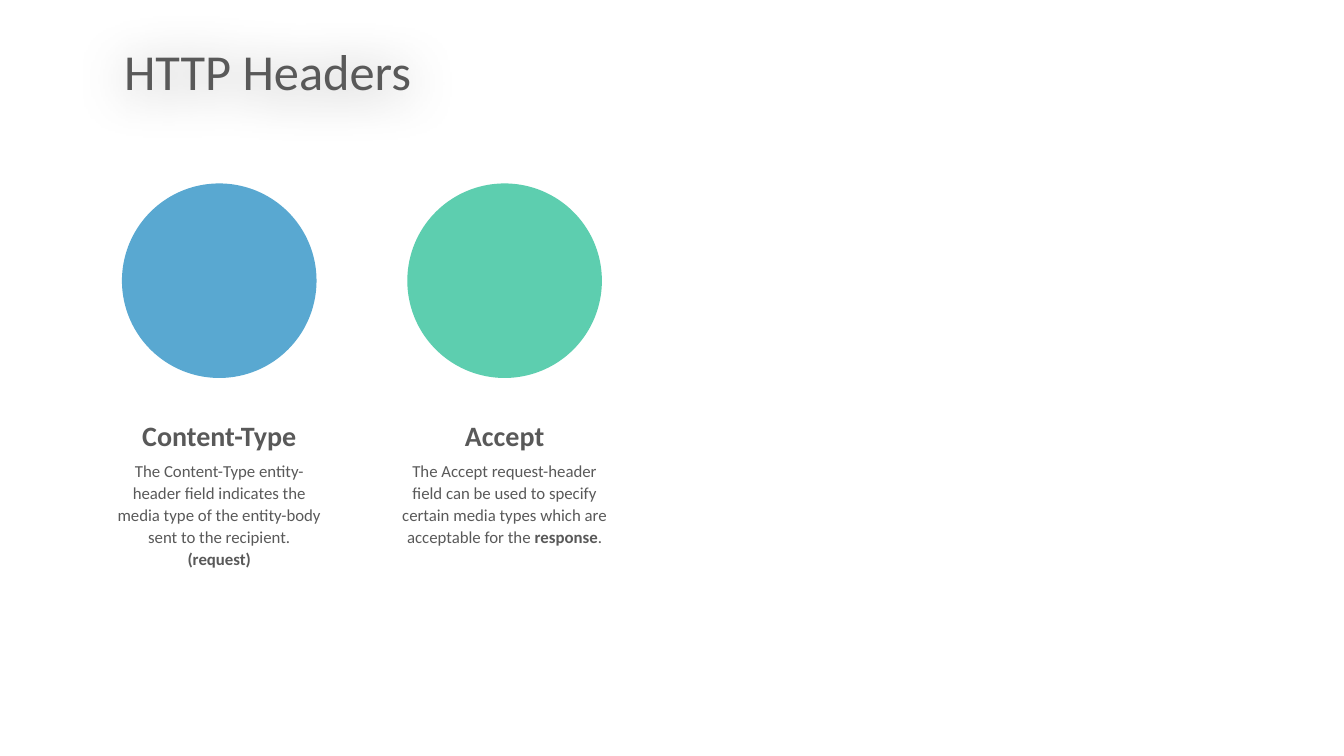
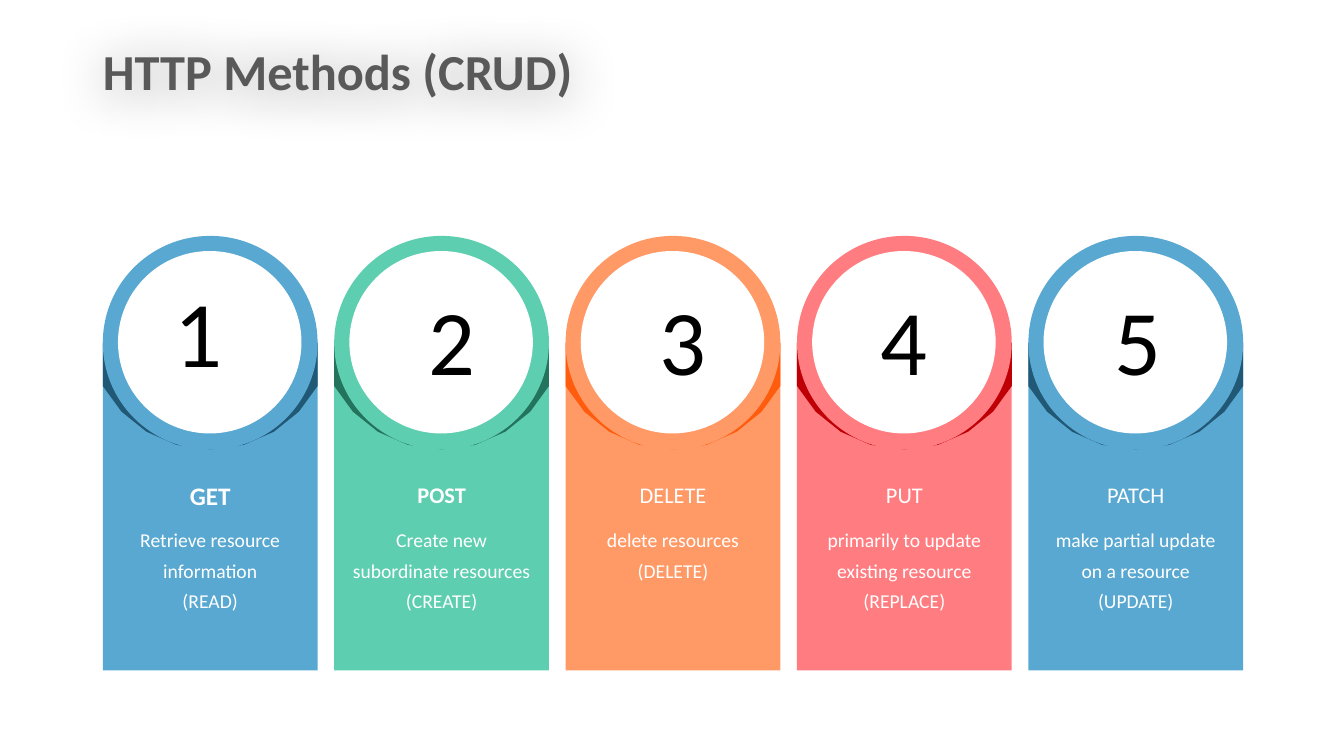
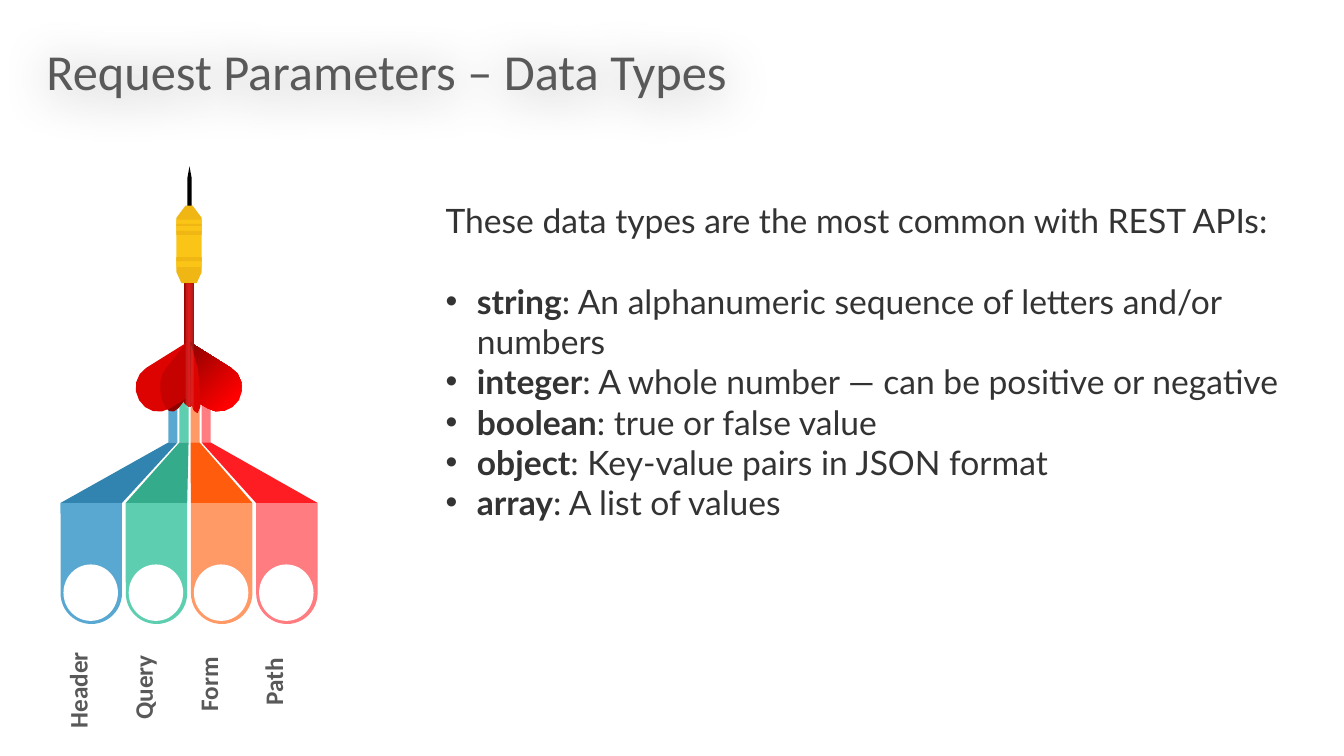
from copy import deepcopy

from lxml import etree
from pptx import Presentation
from pptx.dml.color import RGBColor
from pptx.enum.shapes import MSO_SHAPE
from pptx.enum.text import MSO_ANCHOR, MSO_AUTO_SIZE, PP_ALIGN
from pptx.oxml import parse_xml
from pptx.oxml.ns import nsdecls, qn
from pptx.util import Inches, Pt

OVAL, RECT = MSO_SHAPE.OVAL, MSO_SHAPE.RECTANGLE
ROUND_END = MSO_SHAPE.ROUND_2_SAME_RECTANGLE
LEFT, CENTER, RIGHT = PP_ALIGN.LEFT, PP_ALIGN.CENTER, PP_ALIGN.RIGHT
TOP, NO_FIT = MSO_ANCHOR.TOP, MSO_AUTO_SIZE.NONE

BLUE = RGBColor(0x59, 0xA8, 0xD1)
GREEN = RGBColor(0x5D, 0xCE, 0xAF)
ORANGE = RGBColor(0xFF, 0x99, 0x66)
PINK = RGBColor(0xFF, 0x7C, 0x80)
NAVY = RGBColor(0x20, 0x58, 0x75)
DARK_GREEN = RGBColor(0x23, 0x73, 0x5D)
DEEP_ORANGE = RGBColor(0xFF, 0x5D, 0x0D)
DARK_RED = RGBColor(0xBE, 0x00, 0x06)
MID_BLUE = RGBColor(0x30, 0x84, 0xAF)
MID_GREEN = RGBColor(0x34, 0xAC, 0x8B)
BRIGHT_RED = RGBColor(0xFF, 0x1D, 0x24)
PURE_RED = RGBColor(0xFF, 0x00, 0x00)
DART_RED = RGBColor(0xDD, 0x03, 0x00)
MAROON = RGBColor(0x8E, 0x03, 0x00)
GOLD = RGBColor(0xFA, 0xC5, 0x16)
DARK_GOLD = RGBColor(0xEF, 0xB6, 0x14)
GRAY = RGBColor(0x59, 0x59, 0x59)
INK = RGBColor(0x33, 0x33, 0x33)
BLACK = RGBColor(0, 0, 0)
WHITE = RGBColor(0xFF, 0xFF, 0xFF)

TITLE_TOP, TITLE_HEIGHT = 0.35, 0.71
CURVE_STEPS = 4
TITLE_GLOW = (
    f'<a:effectLst {nsdecls("a")}><a:outerShdw blurRad="{Inches(0.5)}" dist="{Inches(0.04)}" '
    'dir="5400000" algn="ctr"><a:srgbClr val="000000"><a:alpha val="40000"/></a:srgbClr>'
    '</a:outerShdw></a:effectLst>'
)


def add_form(slide, form, fill, box=None, alpha=None, angle=0):
    """Add a preset in a box, or an outline of points and Bezier curves; fill is a colour or stops."""
    if box:
        figure = slide.shapes.add_shape(form, *map(Inches, box))
    else:
        points = [form[0]]
        for step in form[1:]:
            if len(step) == 2:
                points.append(step)
                continue
            knots = [points[-1], step[:2], step[2:4], step[4:]]
            for t in [n / CURVE_STEPS for n in range(1, CURVE_STEPS + 1)]:
                weights = ((1 - t) ** 3, 3 * t * (1 - t) ** 2, 3 * t * t * (1 - t), t ** 3)
                points.append(tuple(sum(w * k[axis] for w, k in zip(weights, knots)) for axis in (0, 1)))
        points = [(Inches(x), Inches(y)) for x, y in points]
        builder = slide.shapes.build_freeform(*points[0])
        builder.add_line_segments(points[1:], close=True)
        figure = builder.convert_to_shape()
    figure.shadow.inherit = False
    figure.line.fill.background()
    if isinstance(fill, list):
        figure.fill.gradient()
        figure.fill.gradient_angle = angle
        stop_list = figure._element.spPr.find(qn("a:gradFill")).find(qn("a:gsLst"))
        while len(stop_list) < len(fill):
            stop_list.append(deepcopy(stop_list[0]))
        for stop, (position, color) in zip(figure.fill.gradient_stops, fill):
            stop.position, stop.color.rgb = position, color
    else:
        figure.fill.solid()
        figure.fill.fore_color.rgb = fill
    if alpha:
        tone = figure._element.spPr.find(qn("a:solidFill"))[0]
        etree.SubElement(tone, qn("a:alpha")).set("val", str(alpha * 1000))
    return figure


def add_text(slide, box, paragraphs, size, color, bold=False, align=CENTER, spacing=1.0, wrap=True):
    """Add a text box; each paragraph is a list of runs in which every second run is bold."""
    label = slide.shapes.add_textbox(*map(Inches, box))
    frame = label.text_frame
    frame.word_wrap = wrap
    for index, parts in enumerate(paragraphs):
        paragraph = frame.add_paragraph() if index else frame.paragraphs[0]
        paragraph.alignment, paragraph.line_spacing = align, spacing
        for place, part in enumerate(parts):
            run = paragraph.add_run()
            run.text = part
            run.font.name, run.font.size = "Calibri", Pt(size)
            run.font.color.rgb, run.font.bold = color, bold or place % 2 == 1
    return label


deck = Presentation()
deck.slide_width, deck.slide_height = Inches(13.33), Inches(7.5)
LIST_LAYOUT, TITLE_LAYOUT = deck.slide_layouts[1], deck.slide_layouts[5]

pages = []
for layout, heading, left, width, bold in [
    (TITLE_LAYOUT, "HTTP Headers", 1.13, 9.11, False),
    (TITLE_LAYOUT, "HTTP Methods (CRUD)", 0.92, 11.12, True),
    (LIST_LAYOUT, "Request Parameters – Data Types", 0.36, 9.87, False),
]:
    page = deck.slides.add_slide(layout)
    title = page.shapes.title
    title.left, title.top = Inches(left), Inches(TITLE_TOP)
    title.width, title.height = Inches(width), Inches(TITLE_HEIGHT)
    title.text_frame.text = heading
    title.text_frame.auto_size, title.text_frame.vertical_anchor = NO_FIT, TOP
    line = title.text_frame.paragraphs[0]
    line.alignment = LEFT
    font = line.runs[0].font
    font.name, font.size, font.bold, font.color.rgb = "Calibri", Pt(36), bold, GRAY
    title._element.spPr.append(parse_xml(TITLE_GLOW))
    pages.append(page)
headers, methods, parameters = pages

# HTTP headers: two discs with a caption
DISC, DISC_LEFT, DISC_PITCH, CAPTION_WIDTH = 1.93, 1.21, 2.83, 2.27
for column, (color, name, name_width, caption, caption_height) in enumerate([
    (BLUE, "Content-Type", 1.77,
     ["The Content-Type entity-header field indicates the media type of the entity-body "
      "sent to the recipient. ", "(request)"], 1.64),
    (GREEN, "Accept", 0.99,
     ["The Accept request-header field can be used to specify certain media types which are "
      "acceptable for the ", "response", "."], 0.98),
]):
    left = DISC_LEFT + column * DISC_PITCH
    middle = left + DISC / 2
    add_form(headers, OVAL, color, (left, 1.82, DISC, DISC))
    add_text(headers, (middle - name_width / 2, 4.1, name_width, 0.44), [[name]], 20, GRAY,
             bold=True, wrap=False)
    add_text(headers, (middle - CAPTION_WIDTH / 2, 4.5, CAPTION_WIDTH, caption_height), [caption],
             12, GRAY, spacing=1.1)

# HTTP methods: five numbered cards; shift and lift move a digit off the middle of its ring
CARD_LEFT, CARD_WIDTH, CARD_TOP, RING_TOP, RIM = 1.02, 2.13, 3.4, 2.34, 0.15
CARD_PITCH = (10.2 - CARD_LEFT) / 4
CURVE_TOP, CURVE_BOTTOM = 3.83, 4.46
for column, (color, shade, name, name_width, name_size, bold, action, width, height, result, shift) in enumerate([
    (BLUE, NAVY, "GET", 0.61, 18, True, "Retrieve resource information", 1.87, 1, "(READ)", -0.1),
    (GREEN, DARK_GREEN, "POST", 0.69, 16, True, "Create new subordinate resources", 2, 1,
     "(CREATE)", 0.11),
    (ORANGE, DEEP_ORANGE, "DELETE", 0.88, 16, False, "delete resources", 1.87, 0.69, "(DELETE)", 0.1),
    (PINK, DARK_RED, "PUT", 0.57, 16, False, "primarily\u00a0to update existing resource", 1.87, 1,
     "(REPLACE)", 0),
    (BLUE, NAVY, "PATCH", 0.78, 16, False, "make partial update on a resource", 1.87, 1,
     "(UPDATE)", 0.03),
]):
    left = CARD_LEFT + column * CARD_PITCH
    right, middle = left + CARD_WIDTH, left + CARD_WIDTH / 2
    add_form(methods, RECT, color, (left, CARD_TOP, CARD_WIDTH, 3.25))
    add_form(methods, [
        (right, CARD_TOP), (left, CARD_TOP), (left, CURVE_TOP),
        (left + 0.2, 4.2, left + 0.6, CURVE_BOTTOM, middle, CURVE_BOTTOM),
        (right - 0.6, CURVE_BOTTOM, right - 0.2, 4.2, right, CURVE_TOP),
    ], shade)
    add_form(methods, OVAL, color, (left, RING_TOP, CARD_WIDTH, 2.12))
    hole = add_form(methods, OVAL, WHITE, (left + RIM, RING_TOP + RIM, 1.82, 1.81))
    number = hole.text_frame
    number.text = str(column + 1)
    face, size, lift = ("Calibri", 66, 0.04) if column else ("Lato", 60, 0.08)
    number.margin_left, number.margin_right = Inches(0.1 + shift), Inches(0.1 - shift)
    number.margin_top, number.margin_bottom = Inches(0.05 - lift), Inches(0.05 + lift)
    number.paragraphs[0].alignment = CENTER
    digit = number.paragraphs[0].runs[0].font
    digit.name, digit.size, digit.color.rgb = face, Pt(size), BLACK
    add_text(methods, (middle - name_width / 2, 4.72, name_width, 0.37), [[name]], name_size, WHITE,
             bold=bold, wrap=False)
    add_text(methods, (middle - width / 2, 5.12, width, height), [[action], [result]], 14,
             WHITE, spacing=1.3)

# Request parameters: four ribbons that meet behind a dart
RIBBON_LEFT, RIBBON_WIDTH, RIBBON_TOP = 0.6, 0.61, 4.99
RIBBON_PITCH = (2.54 - RIBBON_LEFT) / 3
STEM_LEFT, STEM_PITCH, STEM_WIDTH, STEM_BOTTOM = 1.67, 0.11, 0.09, 4.39
for column, (color, shade, name, name_width) in enumerate([
    (BLUE, MID_BLUE, "Header", 1.02),
    (GREEN, MID_GREEN, "Query", 0.9),
    (ORANGE, DEEP_ORANGE, "Form", 0.8),
    (PINK, BRIGHT_RED, "Path", 0.73),
]):
    left = RIBBON_LEFT + column * RIBBON_PITCH
    stem = STEM_LEFT + column * STEM_PITCH
    ribbon = add_form(parameters, ROUND_END, color, (left, RIBBON_TOP, RIBBON_WIDTH, 1.2))
    ribbon.adjustments[0], ribbon.adjustments[1] = 0.5, 0
    ribbon.rotation = 180
    add_form(parameters, RECT, color, (stem, 3.63, STEM_WIDTH, 0.76))
    add_form(parameters, [
        (stem, STEM_BOTTOM), (left, RIBBON_TOP), (left + RIBBON_WIDTH, RIBBON_TOP),
        (stem + STEM_WIDTH, STEM_BOTTOM),
    ], shade)
    add_form(parameters, OVAL, WHITE, (left + 0.03, 5.6, 0.54, 0.56))
    middle = left + 0.17
    label = add_text(parameters, (middle - name_width / 2, 6.63 - 0.03 * column, name_width, 0.4),
                     [[name]], 18, GRAY, bold=True, align=RIGHT)
    label.rotation = 270
    label.text_frame.margin_left, label.text_frame.margin_right = 0, Inches(0.15)

SHAFT = [(1.82, 2.67), (1.93, 2.67), (1.93, 3.99), (1.88, 4.04), (1.82, 3.99)]
NEEDLE = [(1.86, 1.76), (1.88, 1.65), (1.9, 1.76), (1.9, 2.23), (1.86, 2.23)]
NOSE = [(1.75, 2.16), (1.84, 2.04), (1.91, 2.04), (2, 2.16), (2, 2.29), (1.75, 2.29)]
TAIL = [(1.75, 2.7), (1.8, 2.81), (1.95, 2.81), (2, 2.7), (2, 2.56), (1.75, 2.56)]
for outline, fill in [
    (SHAFT, [(0, MAROON), (0.5, DART_RED), (1, MAROON)]),
    (NEEDLE, BLACK), (NOSE, DARK_GOLD), (TAIL, DARK_GOLD),
]:
    add_form(parameters, outline, fill)

for top, height, color in [(2.18, 0.47, GOLD), (2.22, 0.02, DARK_GOLD), (2.29, 0.04, DARK_GOLD),
                           (2.55, 0.04, DARK_GOLD)]:
    add_form(parameters, RECT, color, (1.75, top, 0.25, height))

INNER_FIN = [(1.61, 3.97), (1.57, 3.86, 1.59, 3.71, 1.65, 3.65), (1.85, 3.4), (1.85, 3.95),
             (1.77, 4.05), (1.71, 4.12, 1.64, 4.08, 1.61, 3.97)]
RIGHT_FIN = [(2.37, 3.97), (2.43, 3.86, 2.4, 3.71, 2.29, 3.65), (1.89, 3.4), (1.89, 3.95),
             (2.06, 4.05), (2.16, 4.12, 2.3, 4.08, 2.37, 3.97)]
FRONT_FIN = [(1.96, 3.65), (1.89, 3.4), (1.89, 3.95), (1.89, 3.95, 1.9, 4.1, 1.96, 4.1),
             (2.02, 4.1, 1.97, 3.71, 1.96, 3.65)]
LEFT_FIN = [(1.38, 3.97), (1.31, 3.86, 1.35, 3.71, 1.45, 3.65), (1.85, 3.4), (1.85, 3.95),
            (1.69, 4.05), (1.58, 4.12, 1.44, 4.08, 1.38, 3.97)]
FIN_SHADE = [(1.66, 4.07), (1.61, 3.97), (1.57, 3.86, 1.59, 3.71, 1.65, 3.65), (1.85, 3.4),
             (1.85, 3.95), (1.69, 4.05)]
for outline, fill, alpha in [
    (INNER_FIN, MAROON, None),
    (RIGHT_FIN, [(0.17, PURE_RED), (1, MAROON)], None),
    (FRONT_FIN, DART_RED, None),
    (LEFT_FIN, DART_RED, None),
    (FIN_SHADE, BLACK, 10),
]:
    add_form(parameters, outline, fill, alpha=alpha, angle=135)
add_form(parameters, RECT, WHITE, (1.84, 2.82, 0.08, 1.23), alpha=10)

# Data types: a lead line and a bulleted list
INDENT = Inches(0.31)
data_types = parameters.placeholders[1]
data_types.left, data_types.top = Inches(4.32), Inches(1.93)
data_types.width, data_types.height = Inches(8.89), Inches(3.33)
listing = data_types.text_frame
listing.auto_size, listing.vertical_anchor = NO_FIT, TOP
listing.text = "These data types are the most common with REST APIs:"
lead = listing.paragraphs[0]
lead_format = lead._p.get_or_add_pPr()
lead_format.set("marL", "0")
lead_format.set("indent", "0")
etree.SubElement(lead_format, qn("a:buNone"))
for term, meaning in [
    ("string", ": An alphanumeric sequence of letters and/or numbers"),
    ("integer", ": A whole number — can be positive or negative"),
    ("boolean", ": true or false value"),
    ("object", ": Key-value pairs in JSON format"),
    ("array", ": A list of values"),
]:
    item = listing.add_paragraph()
    item_format = item._p.get_or_add_pPr()
    item_format.set("marL", str(INDENT))
    item_format.set("indent", str(-INDENT))
    etree.SubElement(item_format, qn("a:buChar")).set("char", "•")
    for part, bold in ((term, True), (meaning, False)):
        run = item.add_run()
        run.text, run.font.bold = part, bold
for paragraph in listing.paragraphs:
    paragraph.space_before = Pt(0)
    for run in paragraph.runs:
        run.font.name, run.font.size, run.font.color.rgb = "Lato", Pt(24), INK
lead.space_after = Pt(29)

deck.save("out.pptx")
